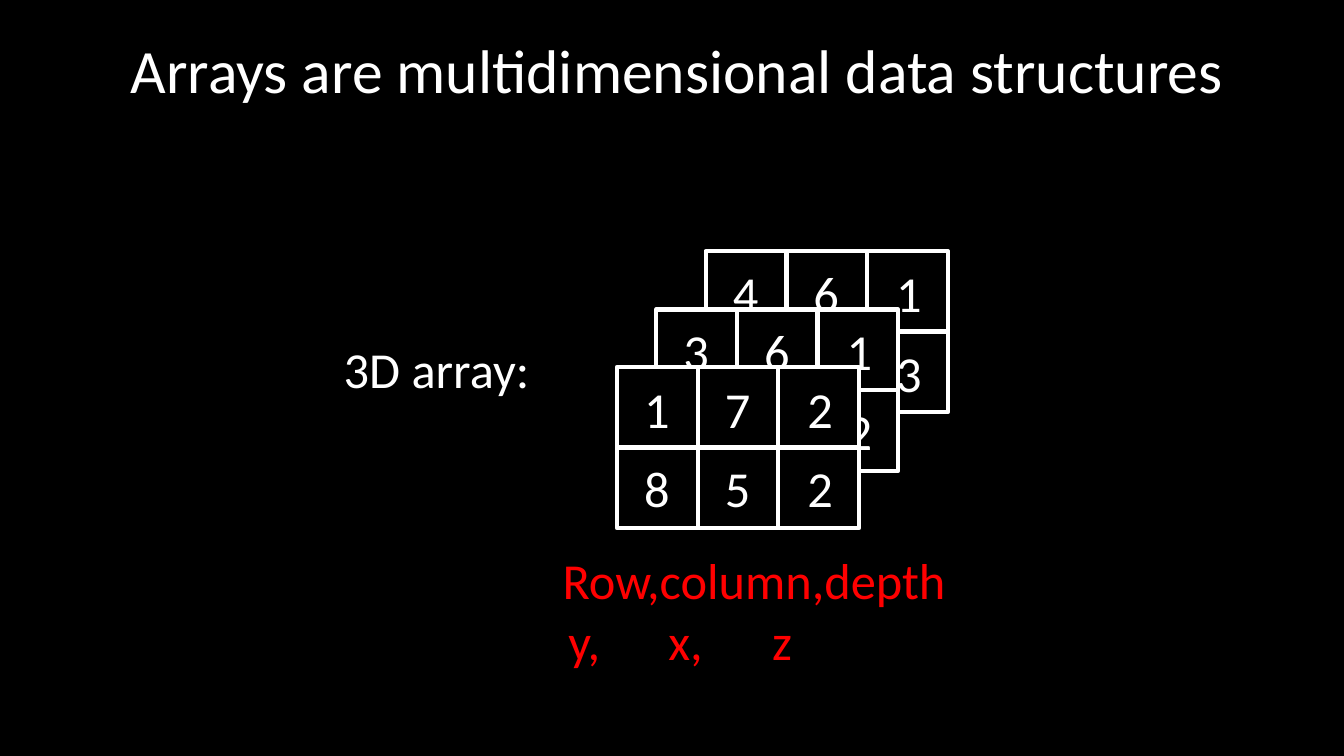
from lxml.etree import SubElement
from pptx import Presentation
from pptx.dml.color import RGBColor
from pptx.enum.shapes import MSO_SHAPE as Shape
from pptx.enum.text import MSO_ANCHOR as Anchor, MSO_AUTO_SIZE as AutoSize, PP_ALIGN as Align
from pptx.oxml.ns import qn
from pptx.util import Inches, Pt

# Content
TITLE = "Arrays are multidimensional data structures"
LABEL = "3D array:"
AXIS_NAMES = "Row,column,depth"
AXIS_LETTERS = ["y,", "x,", "z"]
LAYERS = [  # back to front: left, top, fill, values
    (7.00, 2.49, None, [[4, 6, 1], [8, 9, 3]]),
    (6.51, 3.07, "black", [[3, 6, 1], [8, 5, 2]]),
    (6.12, 3.64, "black", [[1, 7, 2], [8, 5, 2]]),
]

# Style
COLORS = {"black": "000000", "white": "FFFFFF", "red": "FF0000"}
FONT = "Calibri"
TITLE_SIZE, BODY_SIZE = 44, 36
CELL = 0.8
DIGIT_WIDTH, DIGIT_HEIGHT = 0.46, 0.71
DIGIT_LEFTS = [0.17, 0.97, 1.79]
DIGIT_TOPS = [0.06, 0.85]
AXIS_TABS = [2.06, 3.05, 4.08]


def color(name):
    return RGBColor.from_string(COLORS[name])


def style(paragraph, size, color_name):
    for run in paragraph.runs:
        run.font.name = FONT
        run.font.size = Pt(size)
        run.font.color.rgb = color(color_name)


def add_text(shapes, box, lines, color_name="white", wrap=True):
    frame = shapes.add_textbox(*map(Inches, box)).text_frame
    frame.word_wrap = wrap
    frame.text = "\n".join(lines)
    for paragraph in frame.paragraphs:
        style(paragraph, BODY_SIZE, color_name)
    return frame


def add_layer(slide, left, top, fill, rows):
    shapes = slide.shapes.add_group_shape().shapes
    cells = [(r, c, value) for r, row in enumerate(rows) for c, value in enumerate(row)]
    for r, c, _ in cells:
        cell = shapes.add_shape(Shape.RECTANGLE, Inches(left + c * CELL),
                                Inches(top + r * CELL), Inches(CELL), Inches(CELL))
        cell.shadow.inherit = False
        cell.line.color.rgb = color("white")
        cell.line.width = Pt(3)
        if fill:
            cell.fill.solid()
            cell.fill.fore_color.rgb = color(fill)
        else:
            cell.fill.background()
    for r, c, value in cells:
        box = (left + DIGIT_LEFTS[c], top + DIGIT_TOPS[r], DIGIT_WIDTH, DIGIT_HEIGHT)
        add_text(shapes, box, [str(value)], wrap=False)


def add_tabs(paragraph, positions):
    tabs = SubElement(paragraph._p.get_or_add_pPr(), qn("a:tabLst"))
    for position in positions:
        SubElement(tabs, qn("a:tab"), pos=str(Inches(position)), algn="l")


def main():
    presentation = Presentation()
    presentation.slide_width, presentation.slide_height = Inches(13.33), Inches(7.5)
    slide = presentation.slides.add_slide(presentation.slide_layouts[5])
    slide.background.fill.solid()
    slide.background.fill.fore_color.rgb = color("black")

    # Title
    title = slide.shapes.title
    title.left, title.top, title.width, title.height = map(Inches, (0.97, 0, 11.5, 1.45))
    frame = title.text_frame
    frame.text = TITLE
    frame.auto_size = AutoSize.NONE
    frame.vertical_anchor = Anchor.MIDDLE
    heading = frame.paragraphs[0]
    heading.alignment = Align.CENTER
    heading.line_spacing = 0.9
    style(heading, TITLE_SIZE, "white")

    # Stacked array layers and their label
    for layer in LAYERS:
        add_layer(slide, *layer)
    add_text(slide.shapes, (3.31, 3.3, 2.21, 1.31), [LABEL])

    # Axis names, with the letters set under them by tab stops
    letters = "".join("\t" + letter for letter in AXIS_LETTERS)
    axes = add_text(slide.shapes, (3.48, 5.4, 8, 1.31), [AXIS_NAMES, letters], "red")
    names_line, letters_line = axes.paragraphs
    names_line.alignment = Align.CENTER
    letters_line.alignment = Align.LEFT
    add_tabs(letters_line, AXIS_TABS)

    presentation.save("out.pptx")


if __name__ == "__main__":
    main()
